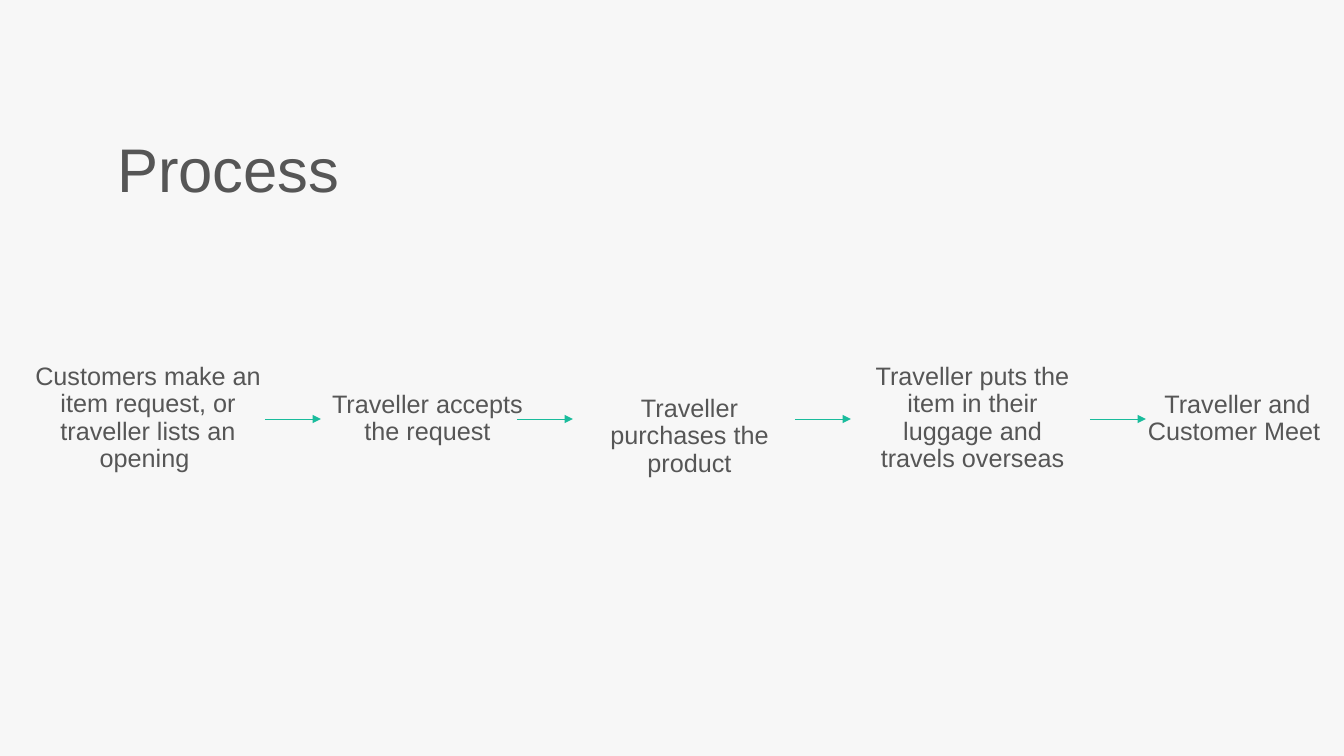
from lxml import etree
from pptx import Presentation
from pptx.dml.color import RGBColor
from pptx.enum.shapes import MSO_CONNECTOR
from pptx.enum.text import MSO_ANCHOR, MSO_AUTO_SIZE, PP_ALIGN
from pptx.oxml.ns import qn
from pptx.util import Pt

STRAIGHT = MSO_CONNECTOR.STRAIGHT
MIDDLE, TOP = MSO_ANCHOR.MIDDLE, MSO_ANCHOR.TOP
FIT_SHAPE, FIT_NONE = MSO_AUTO_SIZE.SHAPE_TO_FIT_TEXT, MSO_AUTO_SIZE.NONE
LEFT, CENTER = PP_ALIGN.LEFT, PP_ALIGN.CENTER
RIGHT_SIDE = 3
TITLE_ONLY = 5

EMU_PER_PX = 914400 / 100.8
COLORS = {"background": "F7F7F7", "text": "565656", "arrow": "1ABC9C"}

ARROW_Y, ARROW_LENGTH = 419, 56
ARROW_STARTS = [265, 517, 795, 1090]
STEPS = [
    ("Customers make an item request, or traveller lists an opening ", (27, 359, 252, 120)),
    ("Traveller accepts the request", (328, 387, 209, 66)),
    ("Traveller purchases the product", (587, 391, 215, 66)),
    ("Traveller puts the item in their luggage and travels overseas", (865, 359, 225, 120)),
    ("Traveller and Customer Meet ", (1134, 387, 217, 66)),
]


def px(length):
    return round(length * EMU_PER_PX)


def color(name):
    return RGBColor.from_string(COLORS[name])


def set_attributes(target, values):
    for name, value in values.items():
        setattr(target, name, value)


class ProcessSlide:
    font_name = "Arial"
    line_spacing = 0.9

    def __init__(self, presentation):
        self.slide = presentation.slides.add_slide(presentation.slide_layouts[TITLE_ONLY])
        fill = self.slide.background.fill
        fill.solid()
        fill.fore_color.rgb = color("background")

    def set_text(self, shape, text, size, frame_format, paragraph_format):
        frame = shape.text_frame
        set_attributes(frame, {"word_wrap": True, **frame_format})
        paragraph = frame.paragraphs[0]
        set_attributes(paragraph, {"line_spacing": self.line_spacing, **paragraph_format})
        run = paragraph.add_run()
        run.text = text
        set_attributes(run.font, {"name": self.font_name, "size": Pt(size)})
        run.font.color.rgb = color("text")

    def title(self, text, box):
        shape = self.slide.shapes.title
        set_attributes(shape, dict(zip(("left", "top", "width", "height"), map(px, box))))
        self.set_text(shape, text, 44,
                      {"vertical_anchor": MIDDLE, "auto_size": FIT_NONE},
                      {"alignment": LEFT, "space_before": Pt(10)})

    def step(self, text, box):
        shape = self.slide.shapes.add_textbox(*map(px, box))
        self.set_text(shape, text, 18,
                      {"vertical_anchor": TOP, "auto_size": FIT_SHAPE, "margin_left": 0},
                      {"alignment": CENTER})
        return shape

    def arrow(self, start, y, length):
        connector = self.slide.shapes.add_connector(
            STRAIGHT, px(start), px(y), px(start + length), px(y))
        connector.line.color.rgb = color("arrow")
        connector.line.width = Pt(0.5)
        properties = connector._element.spPr
        etree.SubElement(properties.get_or_add_ln(), qn("a:tailEnd"), type="triangle")
        etree.SubElement(properties, qn("a:effectLst"))
        return connector


def main():
    presentation = Presentation()
    presentation.slide_width, presentation.slide_height = px(1344), px(756)
    process = ProcessSlide(presentation)
    process.title("Process", (107, 134, 494, 78))
    steps = [process.step(text, box) for text, box in STEPS]
    arrows = [process.arrow(start, ARROW_Y, ARROW_LENGTH) for start in ARROW_STARTS]
    arrows[3].begin_connect(steps[3], RIGHT_SIDE)
    presentation.save("out.pptx")


if __name__ == "__main__":
    main()
